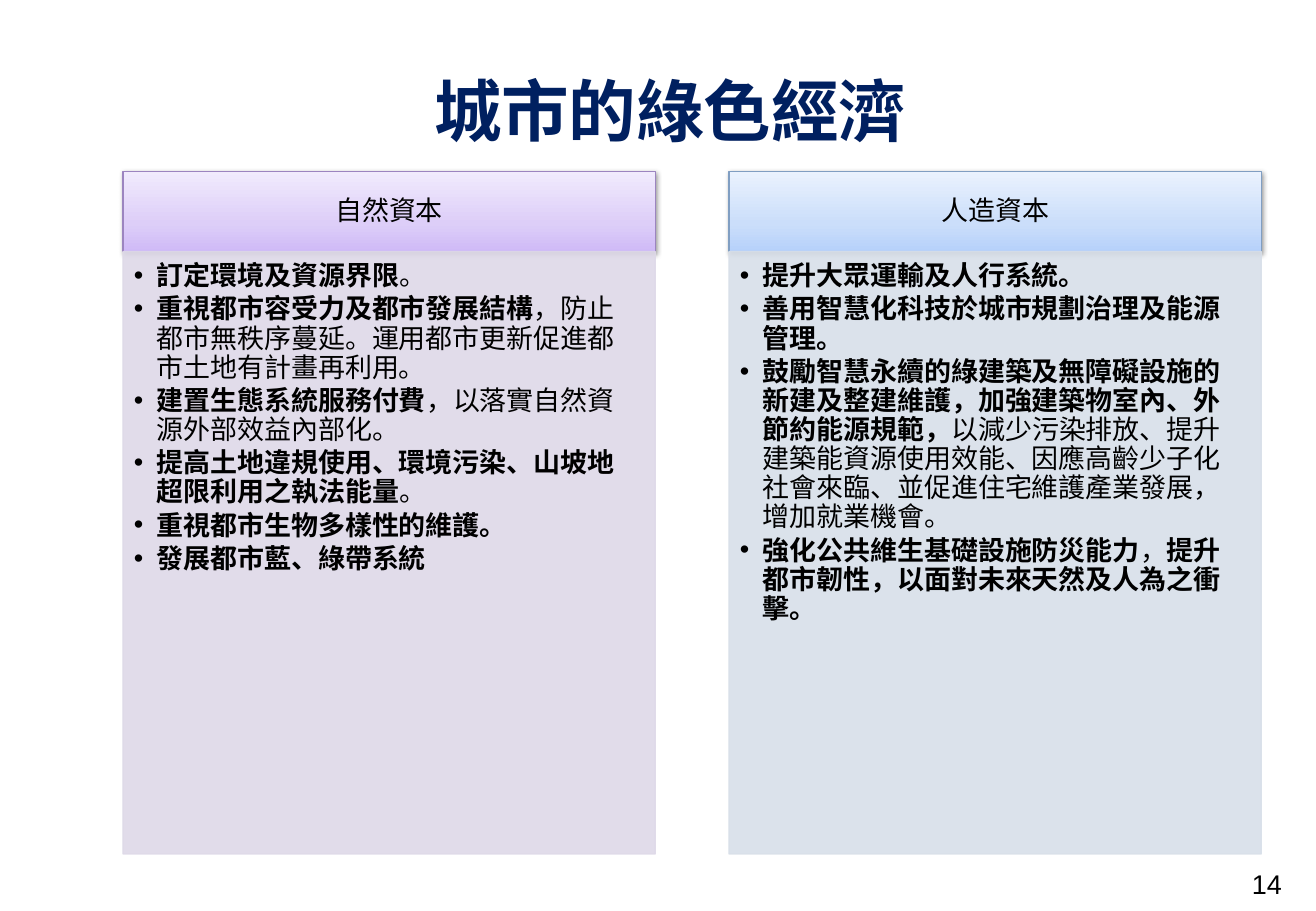
from lxml import etree
from pptx import Presentation
from pptx.dml.color import RGBColor
from pptx.enum.shapes import MSO_SHAPE
from pptx.enum.text import MSO_ANCHOR, PP_ALIGN
from pptx.oxml.ns import qn
from pptx.util import Cm, Pt

RECTANGLE = MSO_SHAPE.RECTANGLE
CENTER, LEFT = PP_ALIGN.CENTER, PP_ALIGN.LEFT
TOP, MIDDLE = MSO_ANCHOR.TOP, MSO_ANCHOR.MIDDLE
CJK_FONT = "Noto Sans CJK SC"
COLORS = {
    "text": "000000",
    "title": "002060",
    "purple_line": "9C85C0",
    "purple_body": "DED9E8",
    "blue_line": "809EC2",
    "blue_body": "D8DFE9",
}
GRADIENTS = {
    "purple": [(0, "CFBAF7"), (35, "DDCEF8"), (100, "F1EBFD")],
    "blue": [(0, "B6D1FA"), (35, "CBDEFA"), (100, "EAF2FE")],
}
COLUMNS = [
    ("purple", 2.57, "自然資本", [
        [("訂定環境及資源界限", True), ("。", False)],
        [("重視都市容受力及都市發展結構", True),
         ("，防止都市無秩序蔓延。運用都市更新促進都市土地有計畫再利用。", False)],
        [("建置生態系統服務付費", True), ("，以落實自然資源外部效益內部化。", False)],
        [("提高土地違規使用、環境污染、山坡地超限利用之執法能量", True), ("。", False)],
        [("重視都市生物多樣性的維護。", True)],
        [("發展都市藍、綠帶系統", True)],
    ]),
    ("blue", 15.24, "人造資本", [
        [("提升大眾運輸及人行系統。", True)],
        [("善用智慧化科技於城市規劃治理及能源管理。", True)],
        [("鼓勵智慧永續的綠建築及無障礙設施的新建及整建維護，加強建築物室內、外節約能源規範，", True),
         ("以減少污染排放、提升建築能資源使用效能、因應高齡少子化社會來臨、並促進住宅維護產業發展，增加就業機會。", False)],
        [("強化公共維生基礎設施防災能力", True), ("，", False),
         ("提升都市韌性，以面對未來天然及人為之衝擊。", True)],
    ]),
]


def set_frame(box, anchor, left, top, right, bottom):
    frame = box.text_frame
    frame.word_wrap = True
    frame.vertical_anchor = anchor
    frame.margin_left, frame.margin_top = Cm(left), Cm(top)
    frame.margin_right, frame.margin_bottom = Cm(right), Cm(bottom)
    return frame


def add_span(para, text, size=16, bold=False, color="text", font=CJK_FONT):
    span = para.add_run()
    span.text = text
    span.font.size = Pt(size)
    span.font.bold = bold
    span.font.color.rgb = RGBColor.from_string(COLORS[color])
    span.font.name = font
    etree.SubElement(span.font._element, qn("a:ea"), typeface=font)


deck = Presentation()
deck.slide_width, deck.slide_height = Cm(27.51), Cm(19.05)
page = deck.slides.add_slide(deck.slide_layouts[6])

number_box = page.shapes.add_textbox(Cm(25.48), Cm(18.01), Cm(2.01), Cm(0.94))
number = set_frame(number_box, TOP, 0.25, 0.13, 0.25, 0.13).paragraphs[0]
number.alignment = CENTER
add_span(number, "14", font="Arial")

for theme, left, heading, points in COLUMNS:
    header = page.shapes.add_shape(RECTANGLE, Cm(left), Cm(3.58), Cm(11.13), Cm(1.68))
    header.fill.gradient()
    header.fill.gradient_angle = 90
    stops = header._element.spPr.find(qn("a:gradFill")).find(qn("a:gsLst"))
    for stop in list(stops):
        stops.remove(stop)
    for position, color in GRADIENTS[theme]:
        stop = etree.SubElement(stops, qn("a:gs"), pos=str(position * 1000))
        etree.SubElement(stop, qn("a:srgbClr"), val=color)
    header.line.color.rgb = RGBColor.from_string(COLORS[theme + "_line"])
    header.line.width = Pt(0.75)
    header.shadow.inherit = False
    effects = header._element.spPr.find(qn("a:effectLst"))
    shadow = etree.SubElement(effects, qn("a:outerShdw"), blurRad=str(Pt(3.1)),
                              dist=str(Pt(1.6)), dir="5400000", rotWithShape="0")
    shade = etree.SubElement(shadow, qn("a:srgbClr"), val=COLORS["text"])
    etree.SubElement(shade, qn("a:alpha"), val="38000")
    para = set_frame(header, MIDDLE, 0.3, 0.18, 0.3, 0.18).paragraphs[0]
    para.alignment = CENTER
    para.line_spacing = 0.9
    add_span(para, heading)

    body = page.shapes.add_shape(RECTANGLE, Cm(left), Cm(5.26), Cm(11.13), Cm(12.6))
    body.shadow.inherit = False
    body.fill.solid()
    body.fill.fore_color.rgb = RGBColor.from_string(COLORS[theme + "_body"])
    body.line.color.rgb = RGBColor.from_string(COLORS[theme + "_body"])
    body.line.width = Pt(0.75)
    for tint in body._element.spPr.iter(qn("a:srgbClr")):
        etree.SubElement(tint, qn("a:alpha"), val="90000")
    frame = set_frame(body, TOP, 0.23, 0.23, 0.3, 0.34)
    for index, spans in enumerate(points):
        para = frame.add_paragraph() if index else frame.paragraphs[0]
        properties = para._p.get_or_add_pPr()
        properties.set("marL", str(Cm(0.48)))
        properties.set("indent", str(-Cm(0.48)))
        etree.SubElement(properties, qn("a:buFont"), typeface="Arial")
        etree.SubElement(properties, qn("a:buChar"), char="•")
        para.alignment = LEFT
        para.line_spacing = 0.9
        para.space_after = Pt(2.4)
        for text, bold in spans:
            add_span(para, text, bold=bold)

title_box = page.shapes.add_textbox(Cm(1.17), Cm(1.3), Cm(25.68), Cm(2.13))
title = set_frame(title_box, TOP, 0.25, 0.15, 0.25, 0.15).paragraphs[0]
title.alignment = CENTER
add_span(title, "城市的綠色經濟", size=40, bold=True, color="title")

deck.save("out.pptx")
